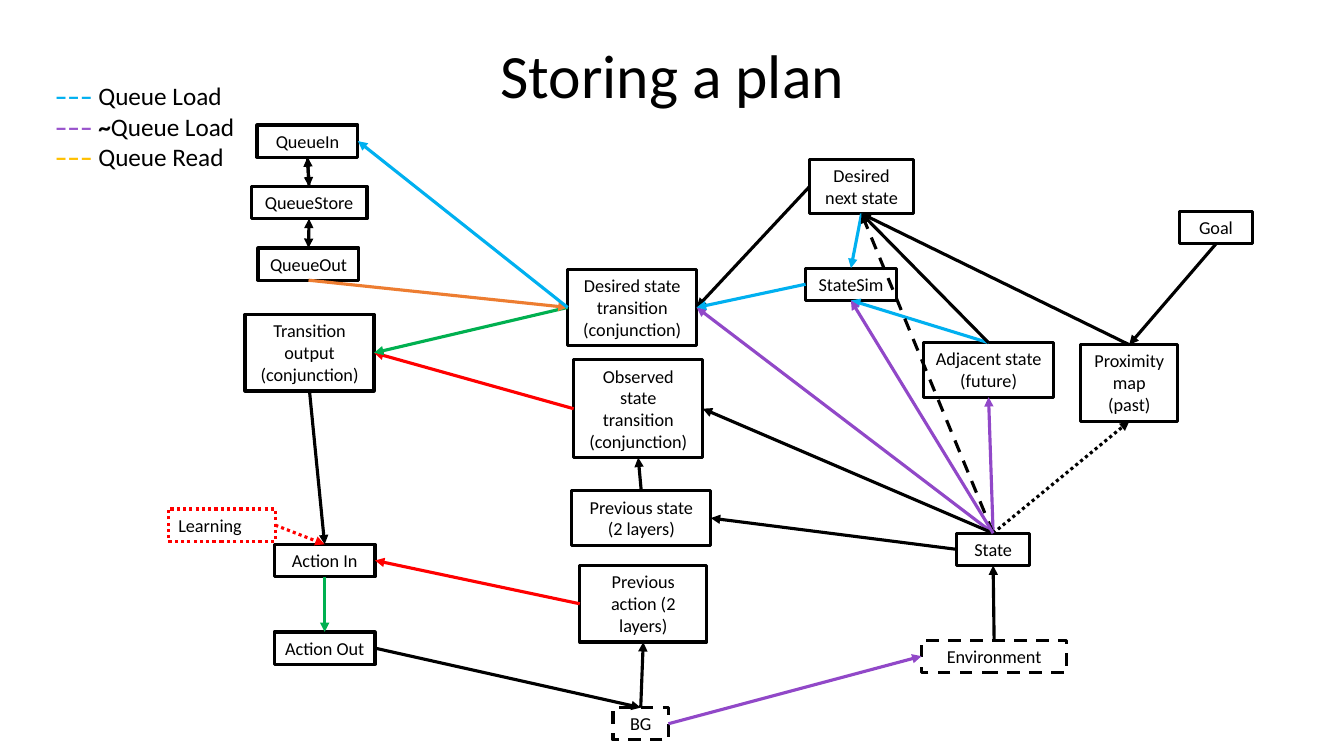
from lxml import etree
from pptx import Presentation
from pptx.dml.color import RGBColor
from pptx.enum.dml import MSO_LINE
from pptx.enum.shapes import MSO_CONNECTOR
from pptx.enum.text import MSO_ANCHOR, PP_ALIGN
from pptx.oxml.ns import qn
from pptx.util import Pt

SCALE = 9144
TITLE_ONLY = 5
STRAIGHT = MSO_CONNECTOR.STRAIGHT
TOP = MSO_ANCHOR.TOP
LEFT, CENTER = PP_ALIGN.LEFT, PP_ALIGN.CENTER
SOLID, DASH, DOT = MSO_LINE.SOLID, MSO_LINE.DASH, MSO_LINE.ROUND_DOT

THEME = {
    "font": "Calibri",
    "title": 44, "legend": 18, "box": 13, "stroke": 2.25,
    "black": "000000", "red": "FF0000", "green": "00B050", "blue": "00B0F0",
    "purple": "9148C8", "orange": "ED7D31", "violet": "9954CC", "gold": "FFC000",
}

SLIDE_SIZE = (1333, 750)
TITLE = ("Storing a plan", (92, 40, 1150, 145))
LEGEND_AREA = (39, 75, 265, 162)
LEGEND = [
    [(" ––– ", "blue", True), ("Queue Load", "black", False)],
    [(" ––– ", "violet", True), ("~", "black", True), ("Queue Load", "black", False)],
    [(" ––– ", "gold", True), ("Queue Read", "black", False)],
]

BOXES = {
    "State": (949, 529, 72, 32),
    "Goal": (1170, 210, 72, 32),
    "Desired next state": (803, 158, 103, 54),
    "Desired state transition (conjunction)": (563, 267, 128, 76),
    "Transition output (conjunction)": (243, 312, 128, 76),
    "Observed state transition (conjunction)": (569, 357, 128, 97),
    "Action In": (272, 540, 100, 32),
    "Action Out": (272, 627, 100, 32),
    "BG": (608, 702, 55, 32),
    "Previous state (2 layers)": (567, 487, 138, 54),
    "Previous action (2 layers)": (575, 561, 126, 76),
    "Environment": (914, 635, 144, 32),
    "QueueStore": (249, 185, 115, 32),
    "Learning": (167, 505, 106, 32),
    "QueueIn": (255, 124, 100, 32),
    "StateSim": (799, 266, 90, 32),
    "Proximity map (past)": (1072, 342, 96, 76),
    "Adjacent state (future)": (916, 340, 129, 54),
    "QueueOut": (256, 246, 100, 32),
}
BOX_STYLES = {
    "BG": ("black", DASH, CENTER),
    "Environment": ("black", DASH, CENTER),
    "Learning": ("red", DOT, LEFT),
}
PLAIN_BOX = ("black", SOLID, CENTER)

NEXT = "Desired next state"
DESIRED = "Desired state transition (conjunction)"
OUTPUT = "Transition output (conjunction)"
OBSERVED = "Observed state transition (conjunction)"
PREVIOUS_STATE = "Previous state (2 layers)"
PREVIOUS_ACTION = "Previous action (2 layers)"
PROXIMITY = "Proximity map (past)"
ADJACENT = "Adjacent state (future)"

ARROWS = [
    ("BG", "top", PREVIOUS_ACTION, "bottom", "black", SOLID),
    ("Goal", "bottom", PROXIMITY, "top", "black", SOLID),
    (PROXIMITY, "top", NEXT, "bottom", "black", SOLID),
    ("State", "left", PREVIOUS_STATE, "right", "black", SOLID),
    ("Action In", "bottom", "Action Out", "top", "green", SOLID),
    (OUTPUT, "bottom", "Action In", "top", "black", SOLID),
    (OBSERVED, "left", OUTPUT, "right", "red", SOLID),
    (DESIRED, "left", OUTPUT, "right", "green", SOLID),
    (NEXT, "left", DESIRED, "right", "black", SOLID),
    ("State", "top", ADJACENT, "bottom", "purple", SOLID),
    ("Action Out", "right", "BG", "top", "black", SOLID),
    ("BG", "right", "Environment", "left", "purple", SOLID),
    ("State", "top", DESIRED, "right", "purple", SOLID),
    ("State", "top", OBSERVED, "right", "black", SOLID),
    (PREVIOUS_STATE, "top", OBSERVED, "bottom", "black", SOLID),
    (PREVIOUS_ACTION, "left", "Action In", "right", "red", SOLID),
    ("Environment", "top", "State", "bottom", "black", SOLID),
    ("Learning", "right", "Action In", "top", "red", DOT),
    ("QueueOut", "bottom", DESIRED, "left", "orange", SOLID),
    (DESIRED, "left", "QueueIn", "right", "blue", SOLID),
    ("QueueIn", "bottom", "QueueStore", "top", "black", SOLID),
    ("QueueStore", "top", "QueueIn", "bottom", "black", SOLID),
    (NEXT, "bottom", "StateSim", "top", "blue", SOLID),
    (ADJACENT, "top", "StateSim", "bottom", "blue", SOLID),
    ("StateSim", "left", DESIRED, "right", "blue", SOLID),
    ("State", "top", PROXIMITY, "bottom", "black", DOT),
    ("State", "top", NEXT, "bottom", "black", DASH),
    (ADJACENT, "top", NEXT, "bottom", "black", SOLID),
    ("State", "top", "StateSim", "bottom", "purple", SOLID),
    ("QueueOut", "top", "QueueStore", "bottom", "black", SOLID),
]
TWO_WAY = {("QueueOut", "QueueStore")}

SIDES = {"left": (0, 0.5), "right": (1, 0.5), "top": (0.5, 0), "bottom": (0.5, 1)}


def emu(*lengths):
    return [round(length * SCALE) for length in lengths]


def assign(target, values):
    for name, value in values.items():
        setattr(target, name, value)


def color(name):
    return RGBColor.from_string(THEME[name])


def add_run(paragraph, text, size, tint="black", bold=False):
    run = paragraph.add_run()
    run.text = text
    assign(run.font, {"name": THEME["font"], "size": Pt(THEME[size]), "bold": bold})
    run.font.color.rgb = color(tint)


def style_line(line, tint, dash):
    line.color.rgb = color(tint)
    assign(line, {"width": Pt(THEME["stroke"]), "dash_style": dash})


def anchor_point(box, side):
    left, top, width, height = BOXES[box]
    across, down = SIDES[side]
    return emu(left + width * across, top + height * down)


def add_text_area(slide, area):
    shape = slide.shapes.add_textbox(*emu(*area))
    assign(shape.text_frame, {"word_wrap": True, "vertical_anchor": TOP})
    return shape


def add_title(slide):
    text, area = TITLE
    title = slide.shapes.title
    assign(title, dict(zip(("left", "top", "width", "height"), emu(*area))))
    title.text_frame.vertical_anchor = TOP
    paragraph = title.text_frame.paragraphs[0]
    assign(paragraph, {"alignment": CENTER, "line_spacing": 0.9})
    add_run(paragraph, text, "title")


def add_box(slide, text, area):
    tint, dash, alignment = BOX_STYLES.get(text, PLAIN_BOX)
    shape = add_text_area(slide, area)
    style_line(shape.line, tint, dash)
    paragraph = shape.text_frame.paragraphs[0]
    paragraph.alignment = alignment
    add_run(paragraph, text, "box")


def add_arrow(slide, source, source_side, target, target_side, tint, dash):
    start, end = anchor_point(source, source_side), anchor_point(target, target_side)
    connector = slide.shapes.add_connector(STRAIGHT, *start, *end)
    style_line(connector.line, tint, dash)
    line = connector.line._get_or_add_ln()
    ends = ("a:headEnd", "a:tailEnd") if (source, target) in TWO_WAY else ("a:tailEnd",)
    for end_tag in ends:
        etree.SubElement(line, qn(end_tag), type="triangle")
    etree.SubElement(connector._element.spPr, qn("a:effectLst"))


def add_legend(slide):
    frame = add_text_area(slide, LEGEND_AREA).text_frame
    for index, entry in enumerate(LEGEND):
        paragraph = frame.add_paragraph() if index else frame.paragraphs[0]
        for text, tint, bold in entry:
            add_run(paragraph, text, "legend", tint, bold)


def main():
    presentation = Presentation()
    assign(presentation, dict(zip(("slide_width", "slide_height"), emu(*SLIDE_SIZE))))
    slide = presentation.slides.add_slide(presentation.slide_layouts[TITLE_ONLY])
    add_title(slide)
    for text, area in BOXES.items():
        add_box(slide, text, area)
    for arrow in ARROWS:
        add_arrow(slide, *arrow)
    add_legend(slide)
    presentation.save("out.pptx")


if __name__ == "__main__":
    main()
